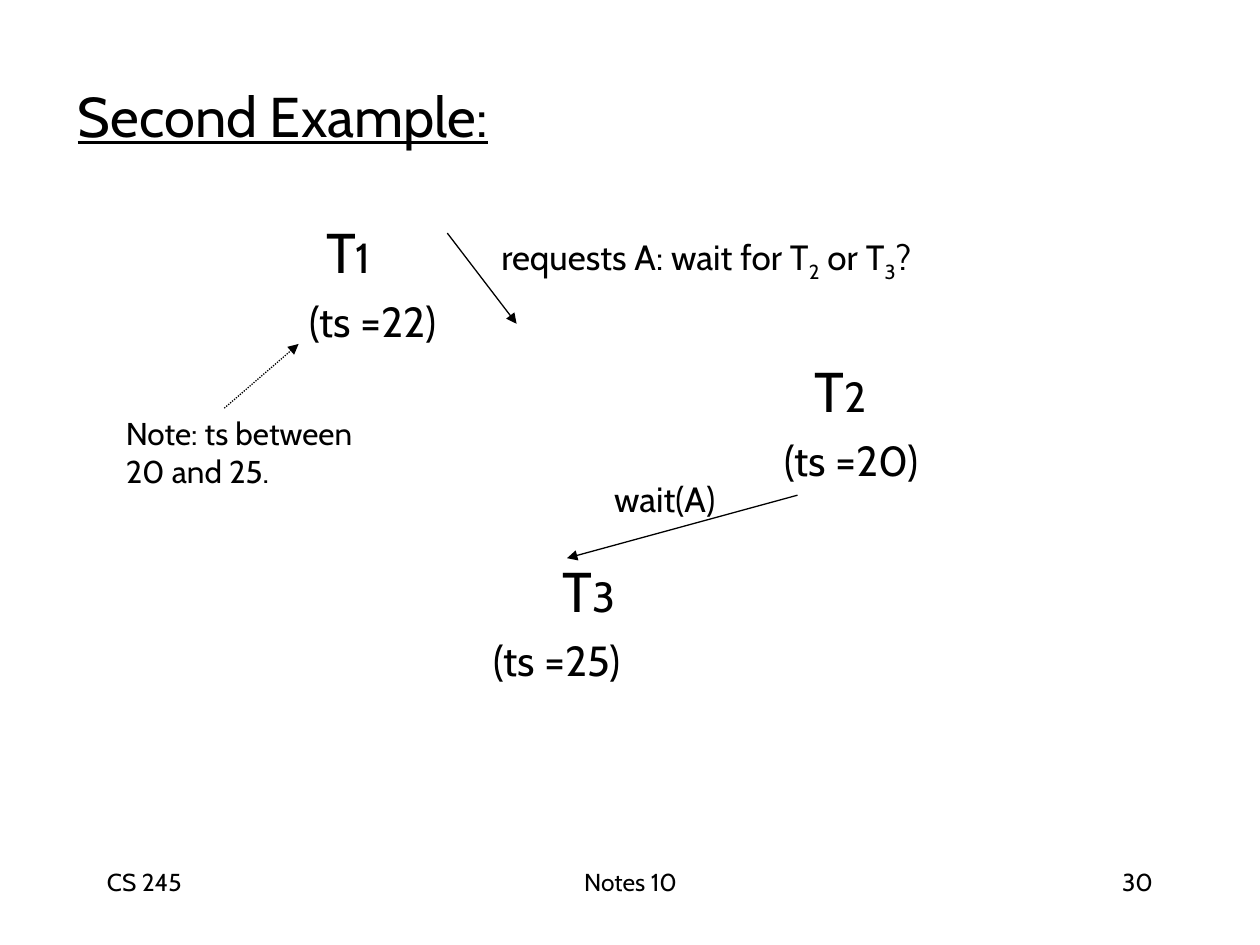
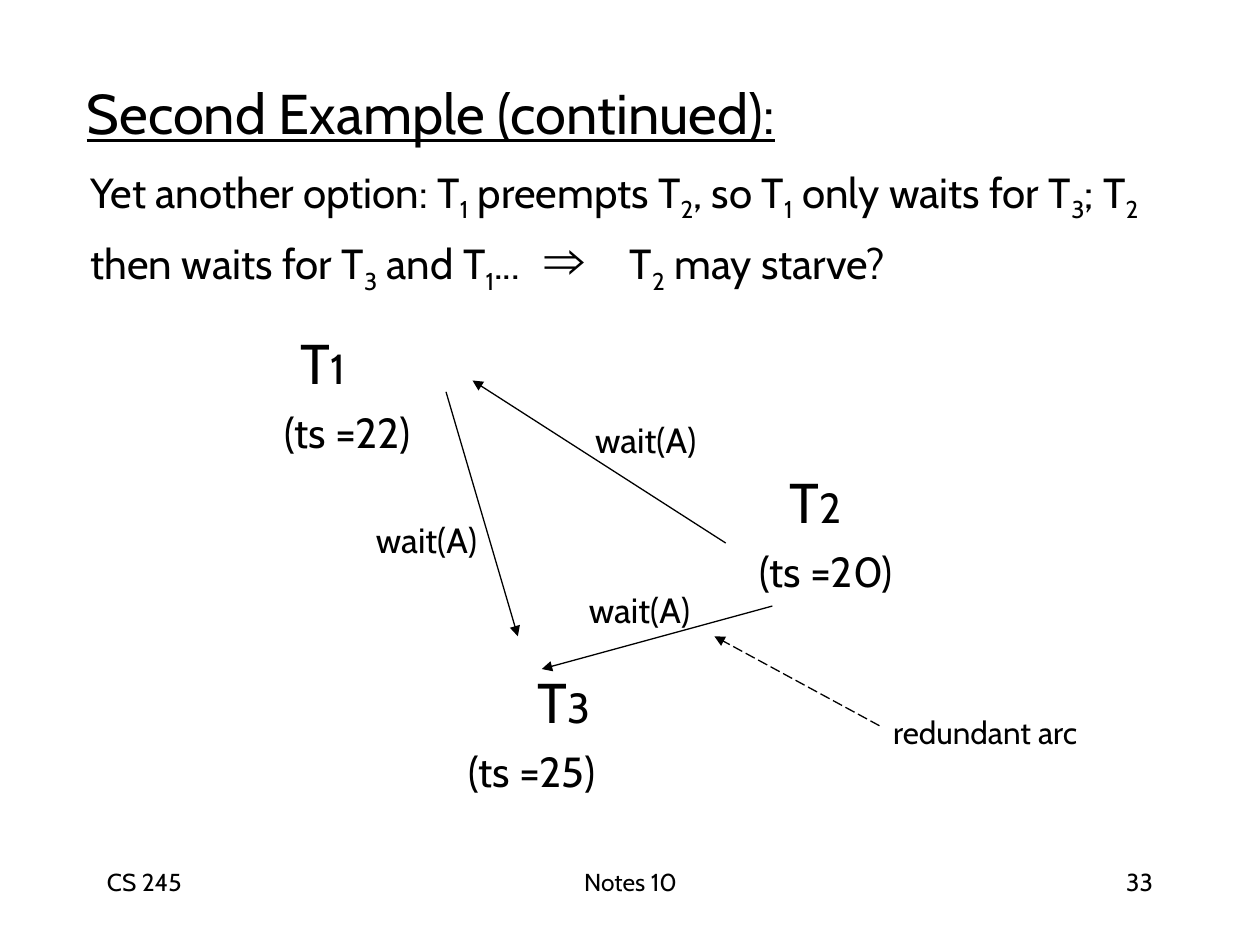
from dataclasses import dataclass
from typing import NamedTuple, Optional

import lxml.etree
import pptx
import pptx.dml.color
import pptx.enum.dml
import pptx.enum.shapes
import pptx.enum.text
import pptx.oxml.ns
import pptx.util

COLORS = {"paper": "FFFFFF", "ink": "000000"}
FONT = "Cabin"
SYMBOL_FONT = "Arial"
TITLE_SIZE, BODY_SIZE, WAIT_SIZE, NOTE_SIZE, FOOTER_SIZE = 32, 24, 20, 18, 14

# The slide is a grid of 10 columns by 7.5 rows
SLIDE_WIDTH, SLIDE_HEIGHT = pptx.util.Inches(10), pptx.util.Inches(7.5)
COLUMN, ROW = SLIDE_WIDTH / 10, SLIDE_HEIGHT / 7.5

ALIGN = pptx.enum.text.PP_ALIGN
ANCHOR = pptx.enum.text.MSO_ANCHOR
DASH = pptx.enum.dml.MSO_LINE


class Box(NamedTuple):
    left: float
    top: float
    width: float
    height: float


class Piece(NamedTuple):
    text: str
    size: Optional[float] = None
    font: str = FONT
    subscript: bool = False


class Arrow(NamedTuple):
    start: tuple[float, float]
    end: tuple[float, float]
    dash: Optional[DASH] = None


class Transaction(NamedTuple):
    number: int
    timestamp: int
    left: float
    top: float
    name_indent: float


@dataclass
class Example:
    title: str
    title_box: Box
    page: int
    graph_origin: tuple[float, float]
    wait_labels: list[tuple[float, float]]
    arrows: list[Arrow]


# Graph parts shared by both slides, placed from the graph's origin
TRANSACTIONS = [
    Transaction(1, 22, 0.36, 0, 0.13),
    Transaction(2, 20, 4.13, 1.1, 0.24),
    Transaction(3, 25, 1.82, 2.69, 0.55),
]
T2_WAITS_FOR_T3 = Arrow((4.33, 2.25), (2.5, 2.75))
T2_WAIT_LABEL = (2.73, 2.06)

FOOTER_TOP, FOOTER_HEIGHT = 6.83, 0.5

EXAMPLES = [
    Example(
        "Second Example:", Box(0.37, 0.59, 3.75, 0.64), 30, (2, 1.68), [],
        [Arrow((3.55, 1.85), (4.1, 2.57)),
         Arrow((1.78, 3.24), (2.37, 2.73), DASH.ROUND_DOT)],
    ),
    Example(
        "Second Example (continued):", Box(0.3, 0.57, 6.24, 0.64), 33, (1.8, 2.56),
        [(2.84, 4.06), (4.58, 3.27)],
        [Arrow((3.54, 3.11), (4.11, 5.05)),
         Arrow((5.76, 4.31), (3.75, 3.02)),
         Arrow((6.98, 5.76), (5.67, 5.05), DASH.LONG_DASH)],
    ),
]


def across(columns: float) -> int:
    return round(columns * COLUMN)


def down(rows: float) -> int:
    return round(rows * ROW)


def ink() -> pptx.dml.color.RGBColor:
    return pptx.dml.color.RGBColor.from_string(COLORS["ink"])


def with_subscripts(text: str) -> list[Piece]:
    """Turn each character that follows an underscore into a subscript."""
    first, *others = text.split("_")
    pieces = [Piece(first)]
    for part in others:
        pieces.append(Piece(part[0], subscript=True))
        if part[1:]:
            pieces.append(Piece(part[1:]))
    return pieces


def write(frame, paragraphs: list, *, size: float, align=ALIGN.LEFT, anchor=ANCHOR.TOP,
          wrap: bool = True, underline: bool = False, space_before: float = 0,
          first_indent: float = 0, tabs: tuple = ()) -> None:
    """Fill a text frame; each paragraph is a string or a list of pieces."""
    frame.word_wrap = wrap
    frame.auto_size = pptx.enum.text.MSO_AUTO_SIZE.NONE
    frame.vertical_anchor = anchor
    for index, content in enumerate(paragraphs):
        paragraph = frame.add_paragraph() if index else frame.paragraphs[0]
        properties = paragraph._p.get_or_add_pPr()
        if tabs:
            stops = lxml.etree.SubElement(properties, pptx.oxml.ns.qn("a:tabLst"))
            for stop in tabs:
                lxml.etree.SubElement(stops, pptx.oxml.ns.qn("a:tab"),
                                      pos=str(across(stop)), algn="l")
        if first_indent and not index:
            properties.set("marL", str(across(first_indent)))
        paragraph.alignment = align
        paragraph.space_before = pptx.util.Pt(space_before if index else 0)
        for piece in [Piece(content)] if isinstance(content, str) else content:
            run = paragraph.add_run()
            run.text = piece.text
            run.font.name = piece.font
            run.font.size = pptx.util.Pt(piece.size or size)
            run.font.color.rgb = ink()
            if underline:
                run.font.underline = True
            if piece.subscript:
                run.font._element.set("baseline", "-25000")


def add_text(slide, box: Box, paragraphs: list, **text_format) -> None:
    label = slide.shapes.add_textbox(across(box.left), down(box.top),
                                     across(box.width), down(box.height))
    write(label.text_frame, paragraphs, **text_format)


def add_arrow(slide, arrow: Arrow) -> None:
    (x1, y1), (x2, y2) = arrow.start, arrow.end
    link = slide.shapes.add_connector(pptx.enum.shapes.MSO_CONNECTOR.STRAIGHT,
                                      across(x1), down(y1), across(x2), down(y2))
    link.line.color.rgb = ink()
    link.line.width = pptx.util.Pt(0.75)
    if arrow.dash is not None:
        link.line.dash_style = arrow.dash
    lxml.etree.SubElement(link.line._get_or_add_ln(), pptx.oxml.ns.qn("a:tailEnd"),
                          type="triangle")
    lxml.etree.SubElement(link._element.spPr, pptx.oxml.ns.qn("a:effectLst"))


def add_wait_label(slide, left: float, top: float) -> None:
    add_text(slide, Box(left, top, 1.09, 0.44), ["wait(A)"], size=WAIT_SIZE,
             align=ALIGN.CENTER, anchor=ANCHOR.MIDDLE, wrap=False)


def add_wait_graph(slide, origin: tuple[float, float]) -> None:
    x, y = origin
    for node in TRANSACTIONS:
        name = [Piece("T", TITLE_SIZE), Piece(str(node.number))]
        add_text(slide, Box(x + node.left, y + node.top, 1.4, 1.15),
                 [name, f"(ts ={node.timestamp})"], size=BODY_SIZE,
                 space_before=6, first_indent=node.name_indent)
    add_arrow(slide, Arrow(*((x + dx, y + dy) for dx, dy in T2_WAITS_FOR_T3[:2])))
    add_wait_label(slide, x + T2_WAIT_LABEL[0], y + T2_WAIT_LABEL[1])


def add_footer(slide, page: int) -> None:
    for left, width, text, align in [(0.75, 2.08, "CS 245", ALIGN.LEFT),
                                     (3.42, 3.17, "Notes 10", ALIGN.CENTER),
                                     (7.17, 2.08, str(page), ALIGN.RIGHT)]:
        add_text(slide, Box(left, FOOTER_TOP, width, FOOTER_HEIGHT), [text],
                 size=FOOTER_SIZE, align=align)


def add_example(deck, example: Example):
    """Build the title, graph, arrows and footer common to both slides."""
    slide = deck.slides.add_slide(deck.slide_layouts.get_by_name("Title Only"))
    slide.background.fill.solid()
    slide.background.fill.fore_color.rgb = pptx.dml.color.RGBColor.from_string(COLORS["paper"])
    title, box = slide.shapes.title, example.title_box
    title.left, title.top = across(box.left), down(box.top)
    title.width, title.height = across(box.width), down(box.height)
    write(title.text_frame, [example.title], size=TITLE_SIZE, align=ALIGN.CENTER,
          anchor=ANCHOR.MIDDLE, wrap=False, underline=True)
    add_wait_graph(slide, example.graph_origin)
    for position in example.wait_labels:
        add_wait_label(slide, *position)
    for arrow in example.arrows:
        add_arrow(slide, arrow)
    add_footer(slide, example.page)
    return slide


def main() -> None:
    deck = pptx.Presentation()
    deck.slide_width, deck.slide_height = SLIDE_WIDTH, SLIDE_HEIGHT
    request, preemption = [add_example(deck, example) for example in EXAMPLES]

    # First slide: the request and the note on its timestamp
    add_text(request, Box(3.88, 1.82, 3.78, 0.86),
             [with_subscripts("requests A: wait for T_2 or T_3?")], size=WAIT_SIZE)
    add_text(request, Box(0.9, 3.24, 2.2, 0.7), ["Note: ts between", "20 and 25."],
             size=NOTE_SIZE)

    # Second slide: the preemption option and the redundant arc
    option = with_subscripts("Yet another option: T_1 preempts T_2, so T_1 only waits for "
                             "T_3; T_2 then waits for T_3 and T_1...\t")
    starvation = with_subscripts("\tT_2 may starve?")
    add_text(preemption, Box(0.62, 1.27, 8.6, 1.52),
             [option + [Piece("⇒", TITLE_SIZE, SYMBOL_FONT)] + starvation],
             size=BODY_SIZE, tabs=(3.6, 4.28))
    add_text(preemption, Box(6.99, 5.61, 1.87, 0.4), ["redundant arc"], size=NOTE_SIZE)

    deck.save("out.pptx")


if __name__ == "__main__":
    main()
